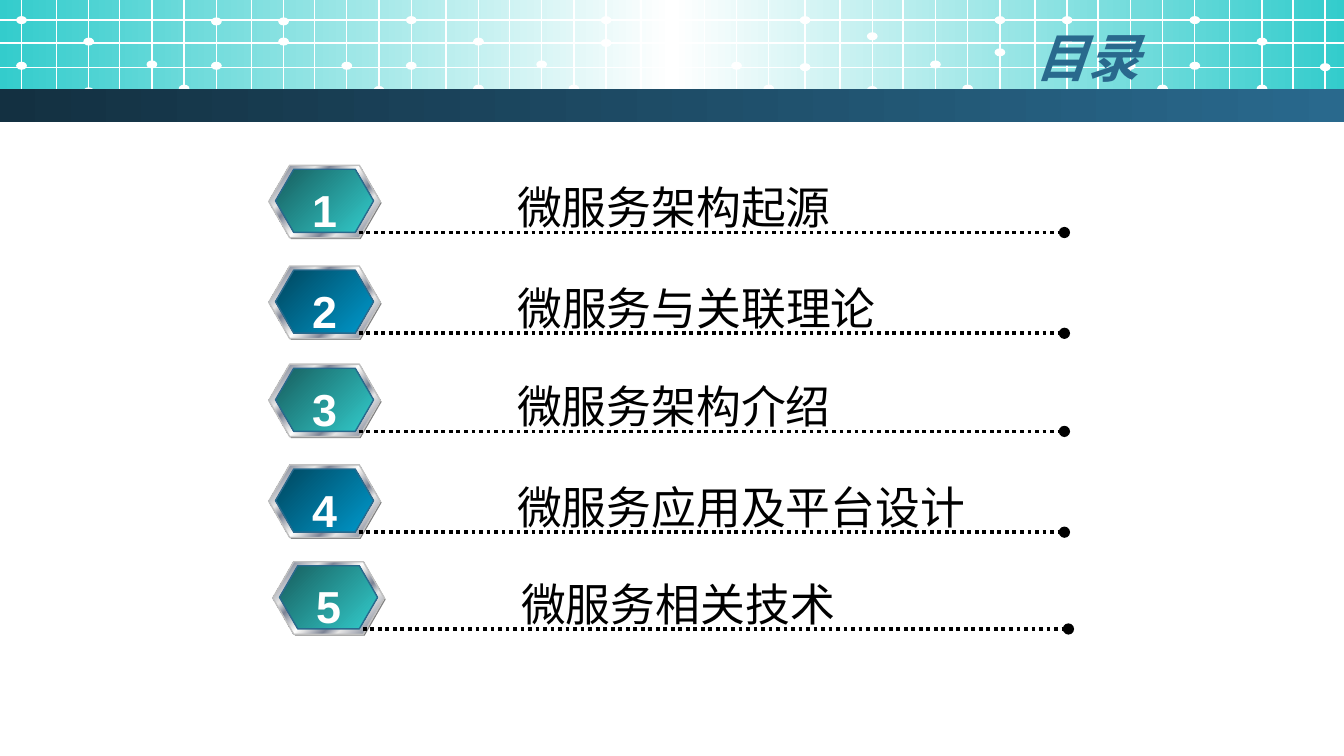
from lxml import etree
from pptx import Presentation
from pptx.dml.color import RGBColor
from pptx.enum import dml, shapes, text
from pptx.oxml.ns import qn
from pptx.util import Inches, Pt

WHITE = RGBColor(0xFF, 0xFF, 0xFF)
BLACK = RGBColor(0, 0, 0)
GREY = RGBColor(0x80, 0x80, 0x80)
SILVER = RGBColor(0xC0, 0xC0, 0xC0)
LIGHT = RGBColor(0xE6, 0xE6, 0xE6)
STEEL = RGBColor(0x7D, 0x84, 0x96)
AQUA = RGBColor(0x33, 0xCC, 0xCC)
TEAL = RGBColor(0x17, 0x5E, 0x5E)
SKY = RGBColor(0x00, 0x99, 0xCC)
DEEP = RGBColor(0x00, 0x46, 0x5E)
BLUE = RGBColor(0x29, 0x69, 0x8D)
NAVY = RGBColor(0x13, 0x30, 0x41)

METAL = [(0, LIGHT), (8, STEEL), (26, LIGHT), (34, STEEL), (46, LIGHT), (50, WHITE),
         (54, LIGHT), (66, STEEL), (74, LIGHT), (93, STEEL), (100, LIGHT)]
GREENS = [(0, TEAL), (100, AQUA)]
BLUES = [(0, DEEP), (100, SKY)]


def form(home, kind, box, fill, edge=None, angle=0):
    """Add a preset shape; a list as fill holds gradient stops."""
    item = home.add_shape(kind, *map(Inches, box))
    item.shadow.inherit = False
    if isinstance(fill, list):
        item.fill.gradient()
        item.fill.gradient_angle = angle
        stops = item._element.spPr.find(".//" + qn("a:gsLst"))
        for old in list(stops):
            stops.remove(old)
        for pos, tint in fill:
            stop = etree.SubElement(stops, qn("a:gs"), pos=str(pos * 1000))
            etree.SubElement(stop, qn("a:srgbClr"), val=str(tint))
    else:
        item.fill.solid()
        item.fill.fore_color.rgb = fill
    if edge is None:
        item.line.fill.background()
    else:
        item.line.color.rgb = edge
        item.line.width = Pt(0.75)
    return item


def wire(home, ends, tint, width):
    """Add a straight line without a shadow."""
    line = home.add_connector(shapes.MSO_CONNECTOR.STRAIGHT, *map(Inches, ends))
    line.line.color.rgb = tint
    line.line.width = Pt(width)
    etree.SubElement(line._element.spPr, qn("a:effectLst"))
    return line


# Widescreen slide, 16 to 9
deck = Presentation()
deck.slide_width = Inches(10)
deck.slide_height = Inches(10) * 9 // 16
slide = deck.slides.add_slide(deck.slide_layouts[5])
RECT, OVAL, HEX = (shapes.MSO_SHAPE.RECTANGLE, shapes.MSO_SHAPE.OVAL,
                   shapes.MSO_SHAPE.HEXAGON)

# Header: gradient strip
form(slide.shapes, RECT, (0, 0, 10, 0.76), [(0, AQUA), (50, WHITE), (100, AQUA)])

# Header: white grid in repeating blocks of six columns, with dots on it
grid = slide.shapes.add_group_shape().shapes
starts = [0.16, 1.61, 3.06, 4.51, 5.99, 7.44, 8.89]
steps = [0, 0.26, 0.5, 0.73, 0.97, 1.21]
marks = [0, 0, 2, 2, 4, 5]  # column of each dot
tops = [
    [0.46, 0.12, 0.28, 0.65, 0.45, 0.63],
    [0.46, 0.13, 0.28, 0.13, 0.46, 0.64],
    [0.46, 0.12, 0.28, 0.63, 0.45, 0.63],
    [0.29, 0.12, 0.29, 0.12, 0.46, 0.63],
    [0.47, 0.12, 0.24, 0.64, 0.45, 0.63],
    [0.36, 0.12, 0.27, 0.12, 0.46, 0.63],
    [0.46, 0.12, 0.28, 0.63, 0.47],
]
for start, row in zip(starts, tops):
    for step in steps:
        if start + step < 10:
            wire(grid, (start + step, 0, start + step, 0.83), WHITE, 0.75)
    for mark, top in zip(marks, row):
        form(grid, OVAL, (start + steps[mark] - 0.04, top, 0.08, 0.06), WHITE)
for y in (0.15, 0.32, 0.5, 0.67):
    wire(grid, (0, y, 10, y), WHITE, 0.75)

# Header: dark band
form(slide.shapes, RECT, (0, 0.66, 10, 0.25), [(0, NAVY), (100, BLUE)])

# Title, brought in front of the header
title = slide.shapes.title
slide.shapes._spTree.append(title._element)
title.left, title.top, title.width, title.height = map(Inches, (0.5, 0.19, 8.08, 0.46))
frame = title.text_frame
frame.text = "目录"
frame.auto_size = text.MSO_AUTO_SIZE.NONE
frame.vertical_anchor = text.MSO_ANCHOR.MIDDLE
para = frame.paragraphs[0]
para.alignment = text.PP_ALIGN.RIGHT
para.font.name, para.font.size = "DejaVu Sans", Pt(28)
para.font.bold = para.font.italic = True
para.font.color.rgb = BLUE

# Contents: numbered badge, dotted rule and label
items = [
    ("微服务架构起源", 2, 1.23, 2.56),
    ("微服务与关联理论", 2, 1.98, 2.89),
    ("微服务架构介绍", 2, 2.71, 2.56),
    ("微服务应用及平台设计", 2, 3.46, 3.57),
    ("微服务相关技术", 2.03, 4.18, 2.56),
]
for num, (label, x, y, wide) in enumerate(items, 1):
    group = slide.shapes.add_group_shape().shapes
    core = GREENS if num % 2 else BLUES
    for box, fill, edge in [
        ((x + 0.01, y + 0.01, 0.83, 0.54), GREY, None),
        ((x, y, 0.83, 0.54), METAL, SILVER),
        ((x + 0.05, y + 0.03, 0.73, 0.47), core, BLUE),
    ]:
        badge = form(group, HEX, box, fill, edge, 315)
        badge.adjustments[0] = 0.289

    rule = wire(group, (x + 0.67, y + 0.5, x + 5.92, y + 0.5), BLACK, 2)
    rule.line.dash_style = dml.MSO_LINE.ROUND_DOT
    etree.SubElement(rule.line._get_or_add_ln(), qn("a:tailEnd"), type="oval")

    for words, box, tint, bold, align in [
        (label, (x + 1.75, y + 0.06, wide, 0.51), BLACK, False, text.PP_ALIGN.LEFT),
        (str(num), (x + 0.22, y + 0.08, 0.39, 0.51), WHITE, True, text.PP_ALIGN.CENTER),
    ]:
        frame = group.add_textbox(*map(Inches, box)).text_frame
        frame.text = words
        frame.word_wrap = False
        frame.auto_size = text.MSO_AUTO_SIZE.SHAPE_TO_FIT_TEXT
        para = frame.paragraphs[0]
        para.alignment = align
        para.font.name, para.font.size = "Arial", Pt(24)
        para.font.bold = bold
        para.font.color.rgb = tint

deck.save("out.pptx")
